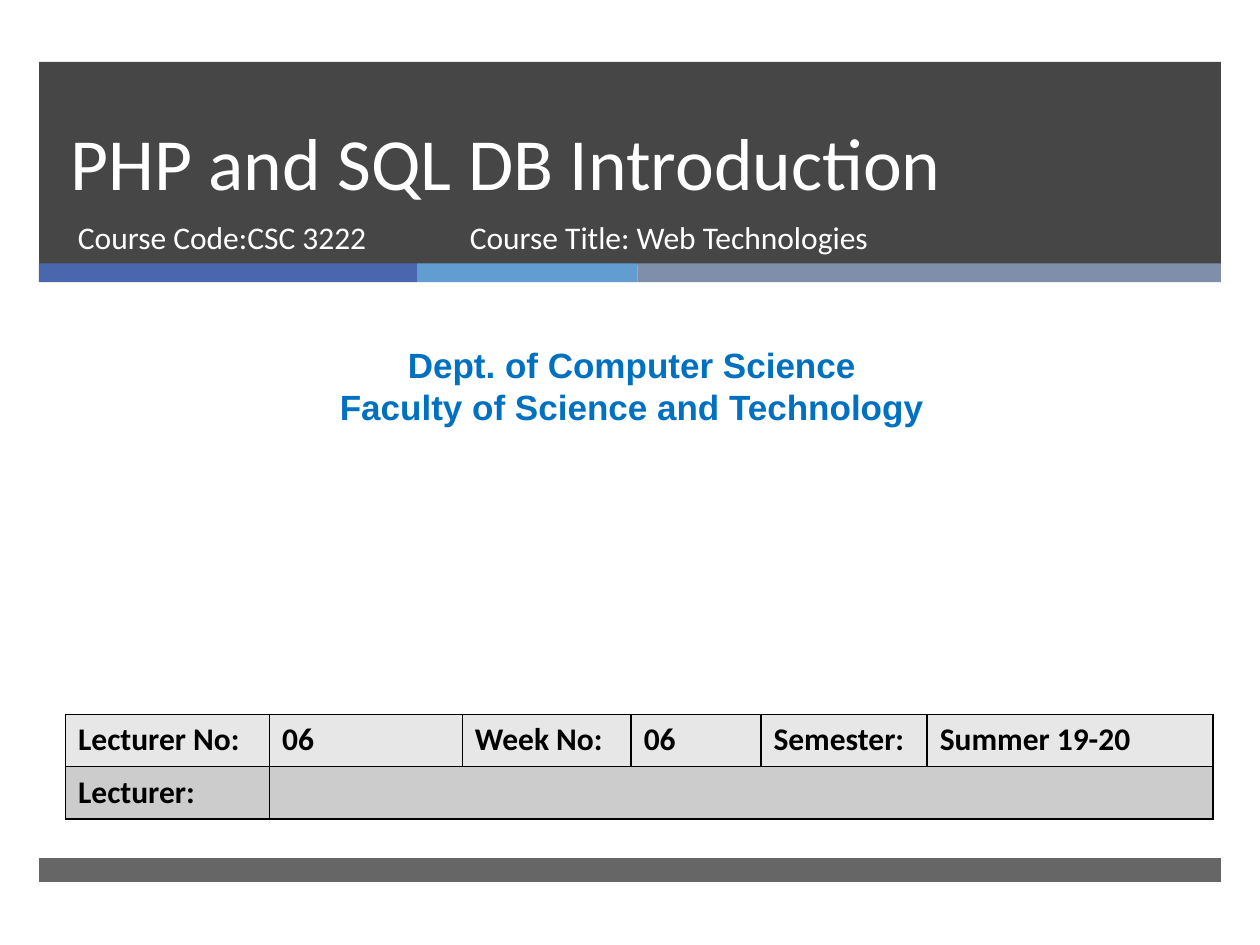
"""Build the opening slide of a web technologies lecture."""
from lxml.etree import SubElement
from pptx import Presentation
from pptx.dml.color import RGBColor
from pptx.enum.shapes import MSO_SHAPE as SHAPE
from pptx.enum.text import MSO_ANCHOR as ANCHOR, PP_ALIGN as ALIGN
from pptx.oxml import parse_xml
from pptx.oxml.ns import nsdecls, qn
from pptx.util import Inches, Pt


def rgb(color):
    return RGBColor.from_string(color)


def add_run(p, text, size, color, font="Calibri", bold=False):
    r = p.add_run()
    r.text = text
    r.font.name = font
    r.font.size = Pt(size)
    r.font.bold = bold
    r.font.color.rgb = rgb(color)


prs = Presentation()
prs.slide_width, prs.slide_height = Inches(10), Inches(7.5)
s = prs.slides.add_slide(prs.slide_layouts[6])

bands = [
    (0.31, 0.49, 9.38, 1.61, "262626", 85),
    (0.31, 2.09, 3, 0.15, "4A66AC", 100),
    (3.31, 2.09, 1.75, 0.15, "629DD1", 100),
    (5.06, 2.09, 4.63, 0.15, "7F8FA9", 100),
    (0.31, 6.81, 9.38, 0.19, "262626", 70),
]
for x, y, w, h, color, opacity in bands:
    sp = s.shapes.add_shape(SHAPE.RECTANGLE, Inches(x), Inches(y), Inches(w), Inches(h))
    sp.shadow.inherit = False
    sp.line.fill.background()
    sp.fill.solid()
    sp.fill.fore_color.rgb = rgb(color)
    if opacity < 100:
        clr = sp.fill._xPr.find(qn("a:solidFill")).find(qn("a:srgbClr"))
        SubElement(clr, qn("a:alpha"), val=str(opacity * 1000))

dept = ["Dept. of Computer Science", "Faculty of Science and Technology"]
texts = [
    (0.46, 0.49, 8.54, 1.19, ["PHP and SQL DB Introduction"], 42, "FFFFFF", "Calibri", 46),
    (0.52, 1.68, 3.05, 0.53, ["Course Code:CSC 3222"], 18, "FFFFFF", "Calibri", None),
    (3.63, 1.68, 4.55, 0.53, ["Course Title: Web Technologies"], 18, "FFFFFF", "Calibri", None),
    (0.08, 2.68, 9.87, 0.77, dept, 20, "0070C0", "Arial", 24),
]
for x, y, w, h, lines, size, color, font, spacing in texts:
    tf = s.shapes.add_textbox(Inches(x), Inches(y), Inches(w), Inches(h)).text_frame
    tf.word_wrap = True
    tf.vertical_anchor = ANCHOR.BOTTOM if size == 42 else ANCHOR.TOP
    for i, line in enumerate(lines):
        p = tf.add_paragraph() if i else tf.paragraphs[0]
        p.alignment = ALIGN.CENTER if lines is dept else ALIGN.LEFT
        if spacing:
            p.line_spacing = Pt(spacing)
        add_run(p, line, size, color, font, bold=lines is dept)

rows = [
    (["Lecturer No:", "06", "Week No:", "06", "Semester:", "Summer 19-20"], "E7E7E7"),
    (["Lecturer:", "", "", "", "", ""], "CCCCCC"),
]
widths = [1.62, 1.53, 1.34, 1.03, 1.32, 2.27]
table = s.shapes.add_table(2, 6, Inches(0.52), Inches(5.67), Inches(9.12), Inches(0.83)).table
for col, width in zip(table.columns, widths):
    col.width = Inches(width)
for i, (labels, color) in enumerate(rows):
    for j, label in enumerate(labels):
        cell = table.cell(i, j)
        for side in ("lnL", "lnR", "lnT", "lnB"):
            cell._tc.get_or_add_tcPr().append(parse_xml(
                f'<a:{side} {nsdecls("a")} w="12700"><a:solidFill>'
                f'<a:srgbClr val="000000"/></a:solidFill></a:{side}>'))
        cell.fill.solid()
        cell.fill.fore_color.rgb = rgb(color)
        if label:
            add_run(cell.text_frame.paragraphs[0], label, 18, "000000", bold=True)
table.cell(1, 1).merge(table.cell(1, 5))

prs.save("out.pptx")
